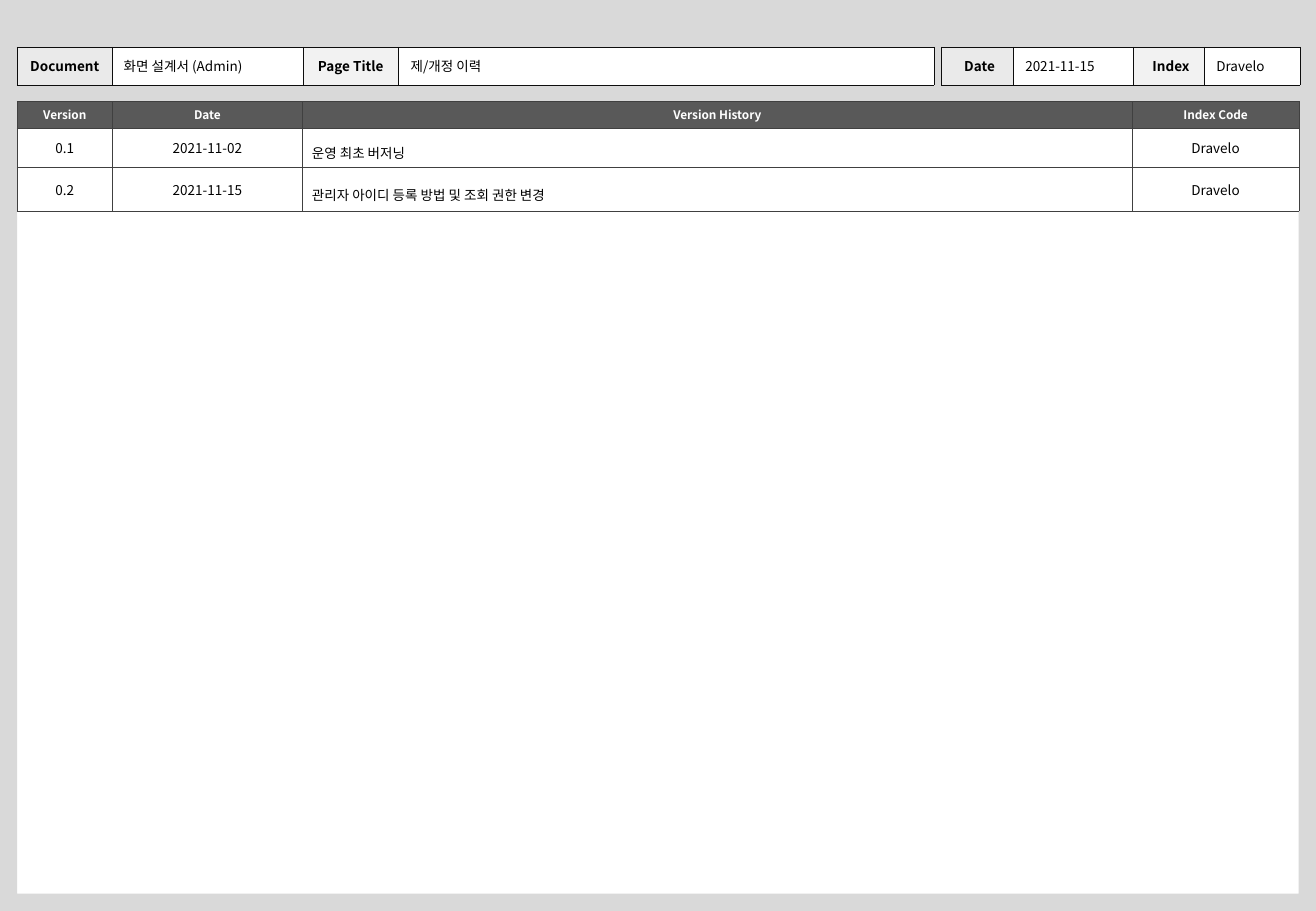
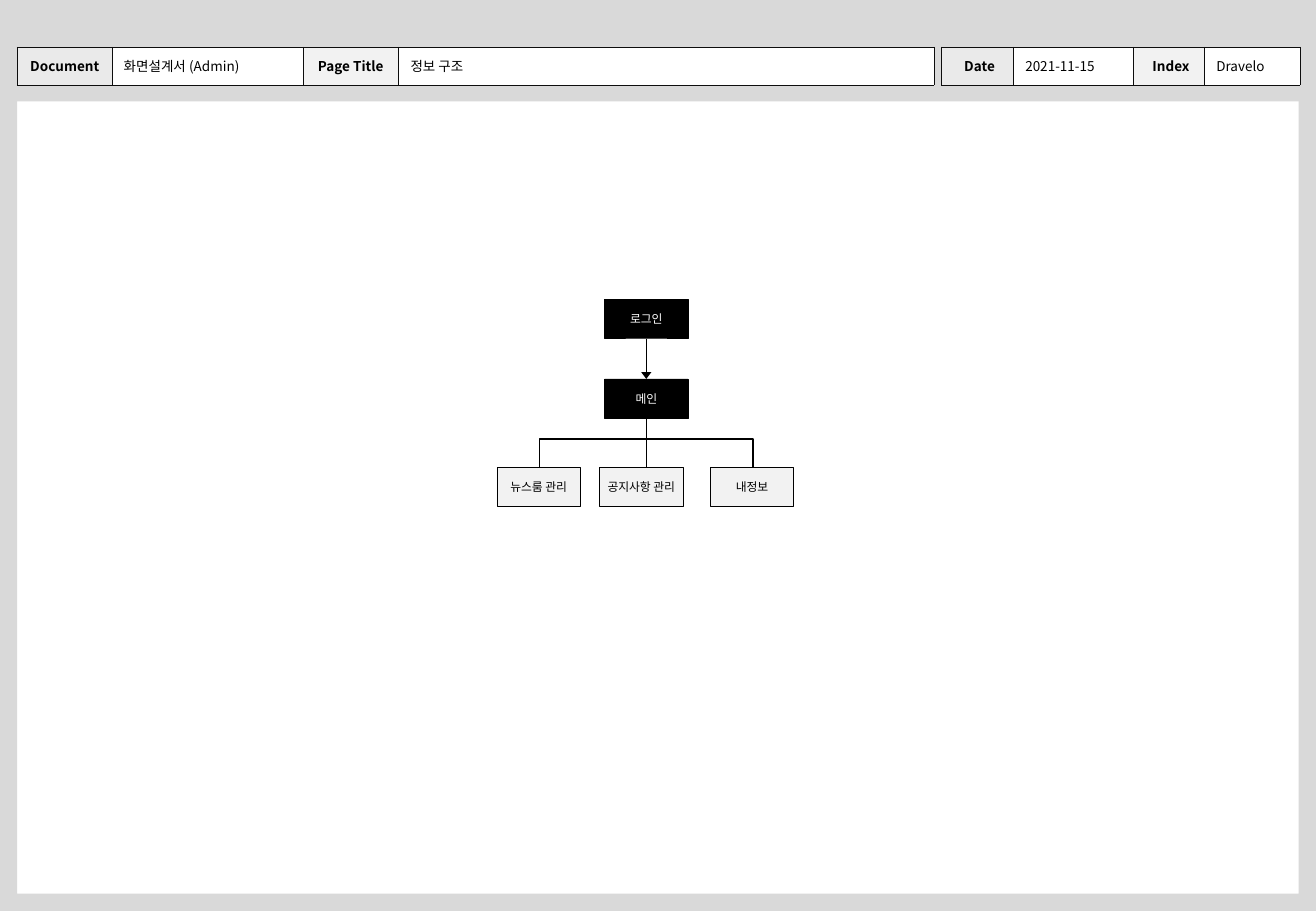
from dataclasses import dataclass
from typing import Any, Optional

from lxml import etree
from pptx import Presentation
from pptx import util as u
from pptx.dml.color import RGBColor
from pptx.enum import shapes, text
from pptx.oxml import ns

WIDE, HIGH = u.Inches(10.83), u.Inches(7.5)
COLS, ROWS = 55, 75
FACE = "Noto Sans CJK KR"
CODE = "Dravelo"
DATE = "2021-11-15"
BLACK = RGBColor(0, 0, 0)
WHITE = RGBColor(0xFF, 0xFF, 0xFF)
BAND = RGBColor(0xD9, 0xD9, 0xD9)
PALE = RGBColor(0xEA, 0xEA, 0xEA)
LIGHT = RGBColor(0xF2, 0xF2, 0xF2)
HEAD = RGBColor(0x59, 0x59, 0x59)
EDGE = RGBColor(0x0D, 0x0D, 0x0D)
GRID = RGBColor(0x40, 0x40, 0x40)
MID = text.PP_ALIGN.CENTER
SIDES = ("left", "top", "right", "bottom")


@dataclass(frozen=True)
class Box:
    """A place on the grid, in columns and rows."""
    x: float
    y: float
    w: float
    h: float


@dataclass(frozen=True)
class Cell:
    """The words and look of one table cell."""
    words: str = ""
    fill: RGBColor = WHITE
    ink: RGBColor = BLACK
    size: float = 8
    bold: bool = False
    align: Optional[Any] = MID
    lead: Optional[float] = None


@dataclass(frozen=True)
class Node:
    """A box of the site tree."""
    words: str
    x: float
    y: float
    fill: RGBColor
    ink: RGBColor


@dataclass(frozen=True)
class Link:
    """A straight upright line of the site tree."""
    top: float
    end: float
    arrow: bool = False


def col(n: float) -> int:
    """Turn columns into a length."""
    return round(WIDE * n / COLS)


def row(n: float) -> int:
    """Turn rows into a length."""
    return round(HIGH * n / ROWS)


def area(box: Box) -> tuple:
    """Give a grid place as left, top, width and height."""
    return col(box.x), row(box.y), col(box.w), row(box.h)


def apply(item: Any, form: dict) -> None:
    """Set each format value on an object."""
    for name, value in form.items():
        setattr(item, name, value)


def inset(*sizes: float) -> dict:
    """Give margins, in inches, as format values."""
    return {f"margin_{side}": u.Inches(size) for side, size in zip(SIDES, sizes)}


def sub(base: Any, tag: str, **attrs: str) -> Any:
    """Add an XML child."""
    return etree.SubElement(base, ns.qn(tag), attrs)


def write(frame: Any, words: str, size: float, ink: RGBColor, bold: bool = False,
          align: Any = None, lead: Optional[float] = None) -> None:
    """Write one styled paragraph."""
    para = frame.paragraphs[0]
    apply(para, {"alignment": align, "line_spacing": lead})
    if not words:
        sub(para._p, "a:endParaRPr", sz=str(round(size * 100)))
        return
    run = para.add_run()
    apply(run, {"text": words})
    apply(run.font, {"size": u.Pt(size), "bold": bold, "name": FACE})
    run.font.color.rgb = ink
    sub(run._r.get_or_add_rPr(), "a:ea", typeface=FACE)


def border(cell: Any, ink: RGBColor) -> None:
    """Draw thin lines round a cell."""
    props = cell._tc.get_or_add_tcPr()
    for spot, side in enumerate("LRTB"):
        line = sub(props, f"a:ln{side}", w=str(u.Pt(0.25)))
        sub(sub(line, "a:solidFill"), "a:srgbClr", val=str(ink))
        props.insert(spot, line)


def grid(page: Any, box: Box, wide: list, high: list, cells: list,
         edge: RGBColor, pad: dict) -> None:
    """Draw a table from rows of cells."""
    table = page.shapes.add_table(len(high), len(wide), *area(box)).table
    apply(table, {"first_row": False, "horz_banding": False})
    for item, size in zip(table.columns, wide):
        item.width = col(size)
    for item, size in zip(table.rows, high):
        item.height = row(size)
    for r, line in enumerate(cells):
        for c, data in enumerate(line):
            cell = table.cell(r, c)
            apply(cell, {"vertical_anchor": text.MSO_ANCHOR.MIDDLE, **pad})
            cell.fill.solid()
            cell.fill.fore_color.rgb = data.fill
            write(cell.text_frame, data.words, data.size, data.ink, data.bold,
                  data.align, data.lead)
            border(cell, edge)


def block(page: Any, box: Box, fill: RGBColor, line: Optional[RGBColor] = None,
          kind: Any = shapes.MSO_SHAPE.RECTANGLE) -> Any:
    """Draw a flat filled shape."""
    shape = page.shapes.add_shape(kind, *area(box))
    shape.shadow.inherit = False
    shape.fill.solid()
    shape.fill.fore_color.rgb = fill
    if line is None:
        shape.line.fill.background()
    else:
        shape.line.color.rgb = line
        shape.line.width = u.Pt(0.25)
    return shape


def label(page: Any, box: Box, words: str) -> None:
    """Write one value of the header."""
    frame = page.shapes.add_textbox(*area(box)).text_frame
    apply(frame, {"word_wrap": True, "auto_size": text.MSO_AUTO_SIZE.NONE,
                  "vertical_anchor": text.MSO_ANCHOR.MIDDLE,
                  **inset(0.1, 0, 0.1, 0)})
    write(frame, words, 8, BLACK)


def tags(one: str, two: str) -> list:
    """Give a header row: two tags, each with room for a value."""
    return [[Cell(one, PALE, bold=True), Cell(),
             Cell(two, LIGHT, bold=True), Cell()]]


def start(deck: Any, name: str, title: str) -> Any:
    """Add a page with the shared frame and header."""
    page = deck.slides.add_slide(deck.slide_layouts[6])
    page.background.fill.solid()
    page.background.fill.fore_color.rgb = WHITE
    block(page, Box(0, 0, COLS, 8.35), BAND)
    rim = block(page, Box(0, 0, COLS, ROWS), BAND, kind=shapes.MSO_SHAPE.FRAME)
    rim.adjustments[0] = 0.019
    grid(page, Box(0.71, 3.88, 38.34, 3.1), [4, 7.95, 4, 22.39], [3.1],
         tags("Document", "Page Title"), EDGE, inset(0.04, 0.04, 0.04, 0.04))
    grid(page, Box(39.34, 3.88, 15, 3.1), [3, 5, 3, 4], [3.1],
         tags("Date", "Index"), EDGE, inset(0.04, 0, 0, 0))
    slots = ((4.67, 7.77), (16.66, 22.24), (42.35, 4.88), (50.33, 3.86))
    for (x, w), words in zip(slots, (name, title, DATE, CODE)):
        label(page, Box(x, 4.45, w, 2), words)
    return page


def line(page: Any, kind: Any, ends: tuple) -> Any:
    """Draw a black connector without a shadow."""
    wire = page.shapes.add_connector(kind, *ends)
    wire.line.color.rgb = BLACK
    wire.line.width = u.Pt(0.75)
    sub(wire.element.spPr, "a:effectLst")
    return wire


def fork(page: Any, x: float, y: float, span: float, rise: float) -> None:
    """Draw an elbow line that rises over a span centred on x, y."""
    thin = row(0.1)
    left, top = col(x) - thin // 2, row(y) - col(span) // 2
    wire = line(page, shapes.MSO_CONNECTOR.ELBOW,
                (left, top, left + thin, top + col(span)))
    props = wire.element.spPr
    turn = {"rot": "5400000", "flipH": "1", "flipV": "1"}
    for name, value in turn.items():
        props.xfrm.set(name, value)
    shape = props.find(ns.qn("a:prstGeom"))
    rule = shape.find(ns.qn("a:avLst"))
    if rule is None:
        rule = sub(shape, "a:avLst")
    sub(rule, "a:gd", name="adj1", fmla=f"val {round(rise / 0.1 * 100000)}")


def history(deck: Any) -> None:
    """Build the page of versions."""
    page = start(deck, "화면 설계서 (Admin)", "제/개정 이력")
    names = ("Version", "Date", "Version History", "Index Code")
    notes = (("0.1", "2021-11-02", "운영 최초 버저닝"),
             ("0.2", DATE, "관리자 아이디 등록 방법 및 조회 권한 변경"))
    cells = [[Cell(name, HEAD, WHITE, 7, True) for name in names]]
    for ver, date, note in notes:
        cells.append([Cell(ver), Cell(date), Cell(note, align=None, lead=1.5),
                      Cell(CODE)])
    grid(page, Box(0.71, 8.35, 53.57, 9), [4, 7.92, 34.7, 6.95], [2.2, 3.2, 3.6],
         cells, GRID, inset(0.08, 0.04, 0.08, 0.04))


def tree(deck: Any) -> None:
    """Build the page of the site tree."""
    page = start(deck, "화면설계서 (Admin)", "정보 구조")
    nodes = (Node("로그인", 25.27, 24.63, BLACK, WHITE),
             Node("메인", 25.27, 31.2, BLACK, WHITE),
             Node("뉴스룸 관리", 20.77, 38.5, LIGHT, BLACK),
             Node("공지사항 관리", 25.06, 38.5, LIGHT, BLACK),
             Node("내정보", 29.69, 38.5, LIGHT, BLACK))
    for node in nodes:
        frame = block(page, Box(node.x, node.y, 3.48, 3.2), node.fill,
                      BLACK).text_frame
        apply(frame, {"word_wrap": True, "vertical_anchor": text.MSO_ANCHOR.MIDDLE,
                      **inset(0.04, 0, 0.04, 0)})
        write(frame, node.words, 7, node.ink, align=MID)
    axis = 27.01
    for link in (Link(27.9, 31.2, True), Link(34.4, 36.1), Link(36.1, 38.45)):
        wire = line(page, shapes.MSO_CONNECTOR.STRAIGHT,
                    (col(axis), row(link.top), col(axis), row(link.end)))
        if link.arrow:
            sub(wire.line._get_or_add_ln(), "a:tailEnd", type="triangle", len="sm")
    fork(page, axis, 38.5, 8.92, 2.45)


def main() -> None:
    """Build and save the deck."""
    deck = Presentation()
    apply(deck, {"slide_width": WIDE, "slide_height": HIGH})
    history(deck)
    tree(deck)
    deck.save("out.pptx")


main()
